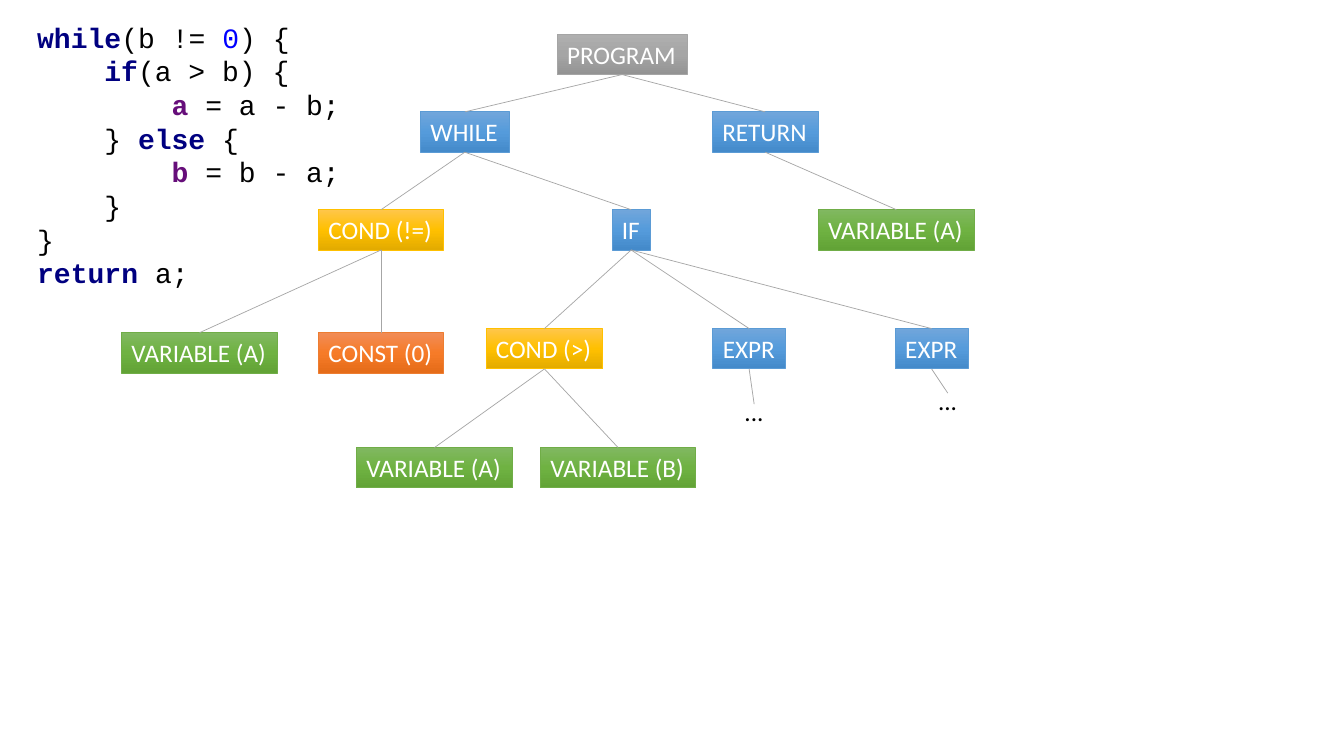
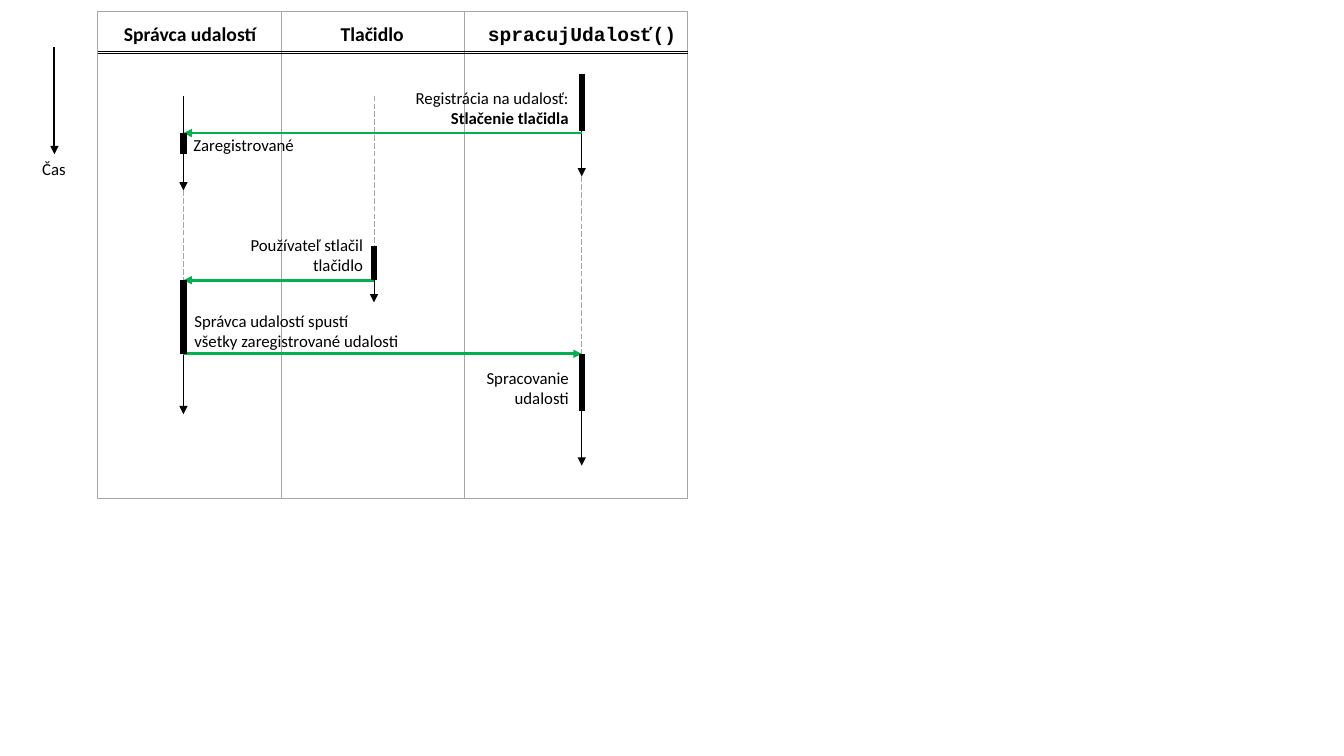
from copy import deepcopy
from pptx import Presentation
from pptx.dml.color import RGBColor
from pptx.enum.dml import MSO_LINE
from pptx.enum.shapes import MSO_CONNECTOR, MSO_SHAPE
from pptx.enum.text import MSO_ANCHOR, MSO_AUTO_SIZE, PP_ALIGN
from pptx.oxml.ns import qn
from pptx.util import Inches, Pt

RECT, STRAIGHT = MSO_SHAPE.RECTANGLE, MSO_CONNECTOR.STRAIGHT
LEFT, RIGHT = PP_ALIGN.LEFT, PP_ALIGN.RIGHT
TOP, MIDDLE = MSO_ANCHOR.TOP, MSO_ANCHOR.MIDDLE
FIT, DASH = MSO_AUTO_SIZE.SHAPE_TO_FIT_TEXT, MSO_LINE.LONG_DASH
BOTTOM_SITE, TOP_SITE = 2, 0


class Theme:
    black, white, gray, green = "000000", "FFFFFF", "A6A6A6", "00B050"
    sans, mono = "Calibri", "Courier New"
    code, node, head, note = 20, 18, 14, 12
    thin, edge, mid, flow, bar = 0.5, 0.75, 1.5, 2, 4.5
    tab = 4 * code * 0.6 / 72
    marks = {"key": ("000080", True), "var": ("660E7A", True),
             "num": ("0000FF", False), "bold": (black, True)}
    kinds = {"root": ("A5A5A5", "AFAFAF", "A5A5A5", "939393"),
             "step": ("5B9BD5", "71A6DB", "559BDB", "448ACA"),
             "cond": ("FFC000", "FFC64B", "FFC000", "E3AB00"),
             "name": ("70AD47", "81B861", "6FB242", "62A336"),
             "const": ("ED7D31", "F18C57", "F67B28", "E56C19")}


def put(page, text, x, y, w, h, size=Theme.note, font=Theme.sans,
        color=Theme.black, bold=False, align=LEFT, anchor=TOP,
        wrap=False, fill=None, kind=None):
    area = [Inches(n) for n in (x, y, w, h)]
    if fill or kind:
        box = page.shapes.add_shape(RECT, *area)
        box.shadow.inherit = False
    else:
        box = page.shapes.add_textbox(*area)
    if fill:
        box.fill.solid()
        box.fill.fore_color.rgb = RGBColor.from_string(fill)
        box.line.fill.background()
    if kind:
        rim, *shades = Theme.kinds[kind]
        box.line.color.rgb = RGBColor.from_string(rim)
        box.line.width = Pt(Theme.thin)
        box.fill.gradient()
        box.fill.gradient_angle = 270
        stops = box._element.spPr.find(qn("a:gradFill")).find(qn("a:gsLst"))
        stops.insert(1, deepcopy(stops[0]))
        for i, (stop, shade) in enumerate(zip(box.fill.gradient_stops, shades)):
            stop.position = i / 2
            stop.color.rgb = RGBColor.from_string(shade)
    frame = box.text_frame
    frame.word_wrap, frame.auto_size = wrap, FIT
    frame.vertical_anchor = anchor
    rows = [text] if isinstance(text, str) else text
    for i, row in enumerate(rows):
        para = frame.paragraphs[0] if i == 0 else frame.add_paragraph()
        para.alignment = align
        depth, parts = (0, [row]) if isinstance(row, str) else row
        if depth:
            para._p.get_or_add_pPr().set("marL", str(Inches(depth * Theme.tab)))
        for part in parts:
            word, mark = (part, None) if isinstance(part, str) else part
            tint, heavy = Theme.marks.get(mark, (color, bold))
            run = para.add_run()
            run.text = word
            run.font.name, run.font.size = font, Pt(size)
            run.font.bold = heavy
            run.font.color.rgb = RGBColor.from_string(tint)
    return box


def draw(page, start, end, color=Theme.black, width=Theme.thin,
         arrow=False, dash=False):
    line = page.shapes.add_connector(
        STRAIGHT, *[Inches(n) for n in (*start, *end)])
    line.line.color.rgb = RGBColor.from_string(color)
    line.line.width = Pt(width)
    if dash:
        line.line.dash_style = DASH
    props = line._element.spPr
    if arrow:
        tail = props.find(qn("a:ln")).makeelement(
            qn("a:tailEnd"), {"type": "triangle"})
        props.find(qn("a:ln")).append(tail)
    props.append(props.makeelement(qn("a:effectLst"), {}))
    return line


deck = Presentation()
deck.slide_width, deck.slide_height = Inches(13.33), Inches(7.5)
blank = deck.slide_layouts[6]

tree = deck.slides.add_slide(blank)
code = [
    (0, [("while", "key"), "(b != ", ("0", "num"), ") {"]),
    (1, [("if", "key"), "(a > b) {"]),
    (2, [("a ", "var"), "= a - b;"]),
    (1, ["} ", ("else ", "key"), "{"]),
    (2, [("b ", "var"), "= b - a;"]),
    (1, ["}"]),
    (0, ["}"]),
    (0, [("return ", "key"), "a;"]),
]
put(tree, code, 0.27, 0.14, 3.78, 2.79, size=Theme.code, font=Theme.mono,
    anchor=MIDDLE, wrap=True, fill=Theme.white)

tall = 0.4
nodes = [
    ("root", None, "PROGRAM", "root", 6.17, 0.34, 1.29),
    ("while", "root", "WHILE", "step", 4.61, 1.11, 0.88),
    ("return", "root", "RETURN", "step", 7.59, 1.11, 1.05),
    ("test", "while", "COND (!=)", "cond", 3.78, 2.08, 1.24),
    ("if", "while", "IF", "step", 6.26, 2.08, 0.38),
    ("out", "return", "VARIABLE (A)", "name", 8.89, 2.08, 1.55),
    ("left", "test", "VARIABLE (A)", "name", 1.98, 3.3, 1.55),
    ("zero", "test", "CONST (0)", "const", 3.78, 3.3, 1.24),
    ("more", "if", "COND (>)", "cond", 5.4, 3.26, 1.16),
    ("then", "if", "EXPR", "step", 7.43, 3.26, 0.72),
    ("else", "if", "EXPR", "step", 9.24, 3.26, 0.72),
    ("first", "more", "VARIABLE (A)", "name", 4.31, 4.44, 1.55),
    ("next", "more", "VARIABLE (B)", "name", 6.13, 4.44, 1.54),
    ("dots", "then", "...", None, 7.48, 3.88, 0.39),
    ("rest", "else", "...", None, 9.4, 3.77, 0.39),
]
made = {}
for key, above, text, kind, mid, top, wide in nodes:
    made[key] = put(tree, text, mid - wide / 2, top, wide, tall,
                    size=Theme.node, kind=kind,
                    color=Theme.white if kind else Theme.black)
    if above:
        link = draw(tree, (mid, top), (mid, top + 0.13), Theme.gray)
        link.begin_connect(made[above], BOTTOM_SITE)
        if kind:
            link.end_connect(made[key], TOP_SITE)

flow = deck.slides.add_slide(blank)
draw(flow, (0.54, 0.47), (0.54, 1.53), width=Theme.mid, arrow=True)
put(flow, "Čas", 0.32, 1.53, 0.44, 0.3)

edges = [0.97, 2.79, 4.61, 6.82]
for near, far in zip(edges, edges[1:]):
    lane = flow.shapes.add_shape(
        RECT, *[Inches(n) for n in (near, 0.11, far - near, 4.84)])
    lane.shadow.inherit = False
    lane.fill.background()
    lane.line.color.rgb = RGBColor.from_string(Theme.gray)
    lane.line.width = Pt(Theme.edge)
for text, x, wide, font in [
    ("Správca udalostí", 1.13, 1.53, Theme.sans),
    ("Tlačidlo", 3.28, 0.83, Theme.sans),
    ("spracujUdalosť()", 4.74, 2.08, Theme.mono),
]:
    put(flow, text, x, 0.17, wide, 0.34, size=Theme.head, font=font, bold=True)
for y in (0.51, 0.53):
    draw(flow, (edges[0], y), (edges[-1], y))

host, key, task = 1.82, 3.71, 5.77
sign, press, call = 1.32, 2.78, 3.51
for x, start, end in [(host, 0.95, 1.89), (host, press, 4.11),
                      (task, 0.98, 1.75), (task, call, 4.62),
                      (key, 2.44, 3)]:
    draw(flow, (x, start), (x, end), arrow=True)
for x, start, end in [(task, 1.75, call), (host, 1.89, press),
                      (key, 0.95, 2.44)]:
    draw(flow, (x, start), (x, end), Theme.gray, dash=True)
for start, end, y in [(task, host, sign), (key, host, press),
                      (host, task, call)]:
    draw(flow, (start, y), (end, y), Theme.green, Theme.flow, arrow=True)
for x, start, end in [(task, 0.73, 1.3), (host, sign, 1.53),
                      (key, 2.44, press), (host, press, call),
                      (task, call, 4.08)]:
    draw(flow, (x, start), (x, end), width=Theme.bar)

notes = [
    (["Registrácia na udalosť:", (0, [("Stlačenie tlačidla", "bold")])],
     4, 0.82, 1.74, RIGHT),
    (["Zaregistrované"], 1.82, 1.29, 1.21, LEFT),
    (["Používateľ stlačil", "tlačidlo"], 2.33, 2.28, 1.37, RIGHT),
    (["Správca udalostí spustí", "všetky zaregistrované udalosti"],
     1.83, 3.03, 2.25, LEFT),
    (["Spracovanie", "udalosti"], 4.72, 3.6, 1.02, RIGHT),
]
for text, x, y, wide, align in notes:
    put(flow, text, x, y, wide, 0.1 + 0.2 * len(text), align=align)

deck.save("out.pptx")
